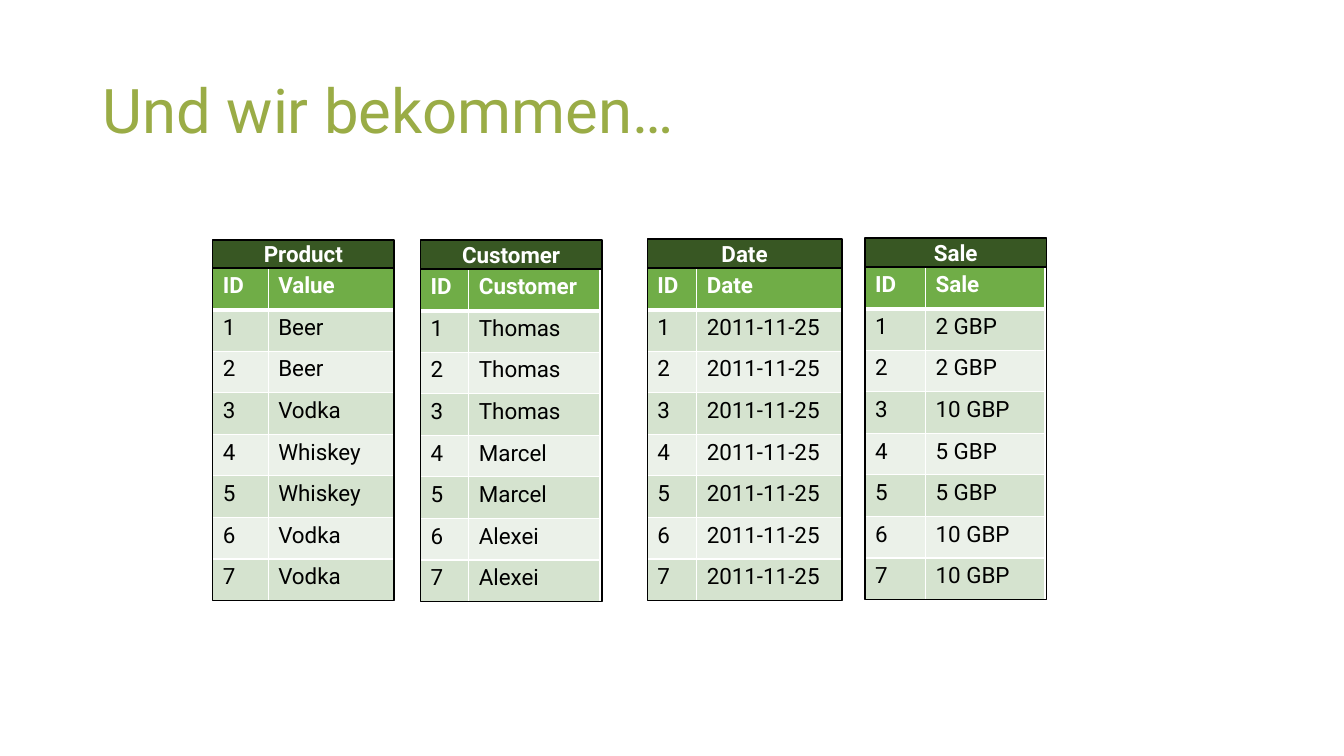
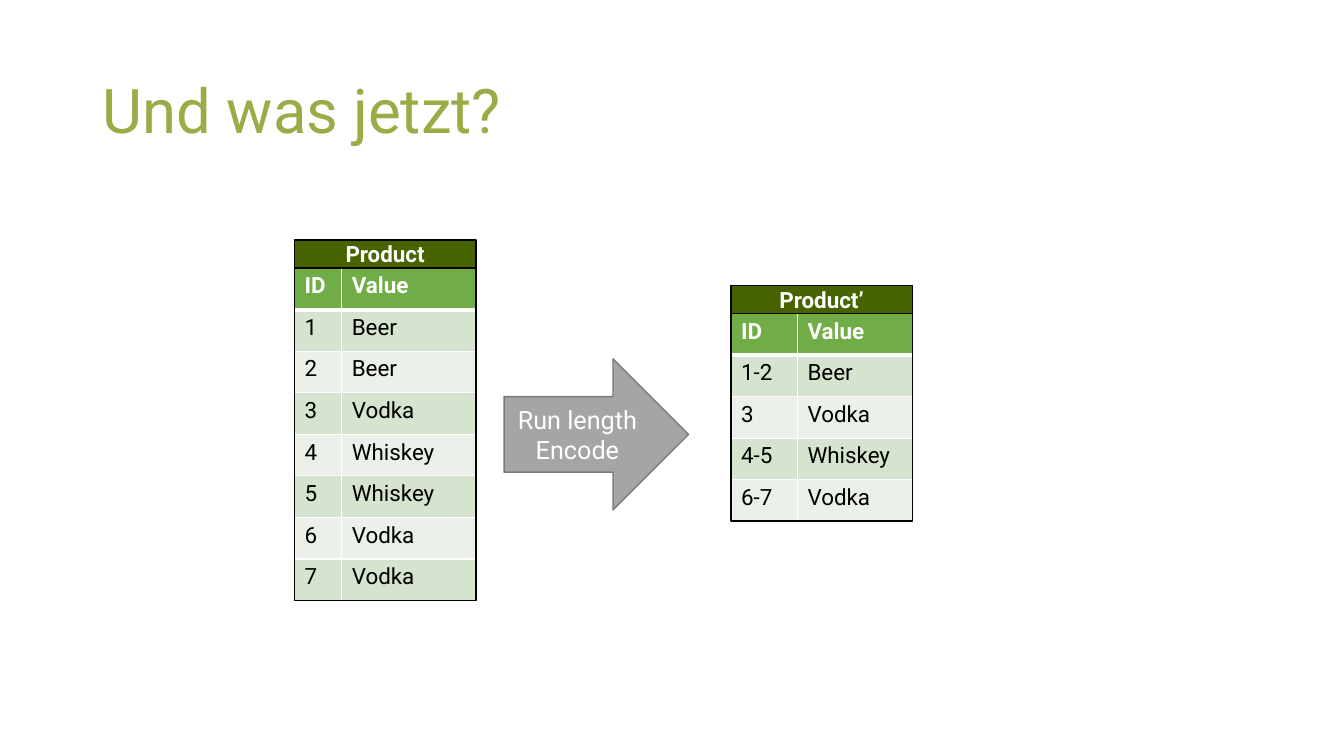
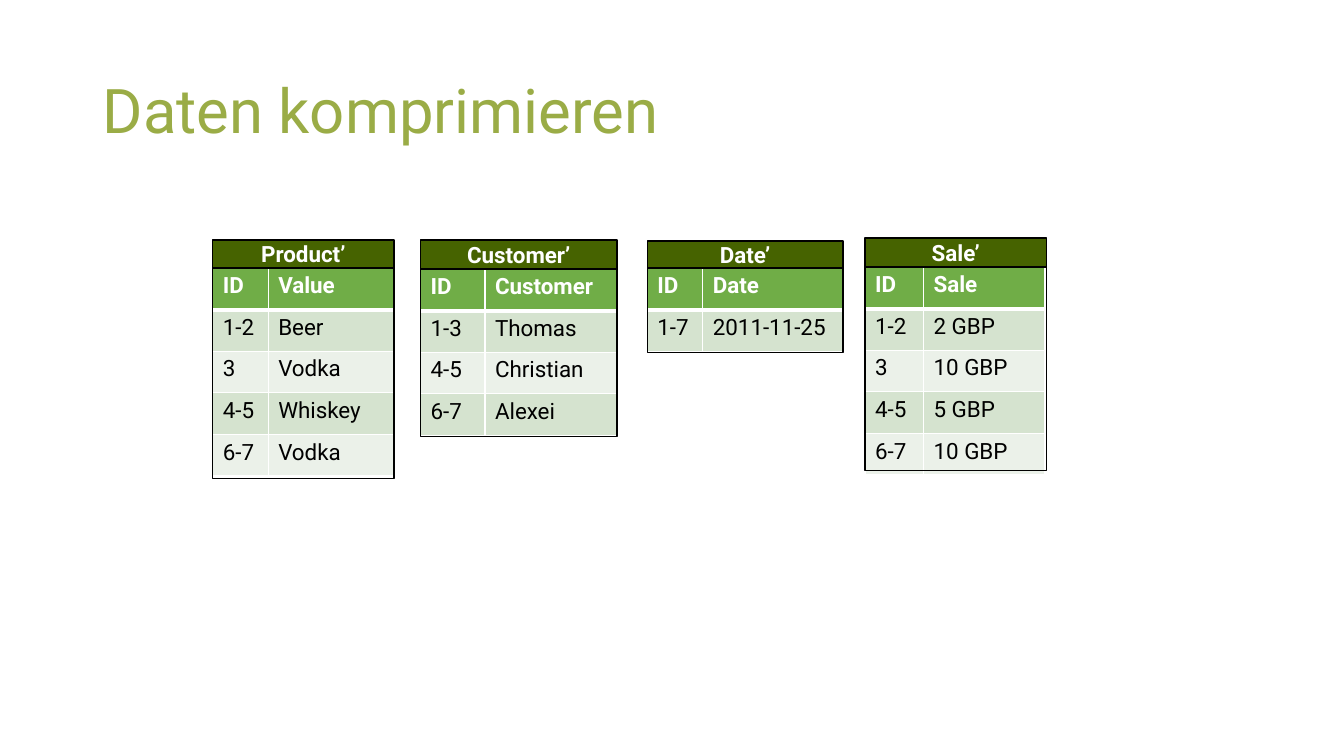
"""Build three slides on splitting a sales table into columns and run length encoding them."""
from lxml import etree
from pptx import Presentation, util as u
from pptx.dml.color import RGBColor
from pptx.enum import shapes, text
from pptx.oxml import ns

PX = 9144
SLIDE_SIZE = (1333, 750)
TITLE_BOX = (92, 40, 1150, 145)
EIGHT_ROWS = 330
FONT = "Roboto"
TITLE, WHITE, BLACK = "9AAC46", "FFFFFF", "000000"
HEADER, BANDS = "70AD47", ("D5E3CF", "EBF1E9")
FOREST, OLIVE = "385723", "466300"
ARROW, ARROW_EDGE = "A5A5A5", "7A7A7A"

IDS = ["1", "2", "3", "4", "5", "6", "7"]
RUNS = ["1-2", "3", "4-5", "6-7"]
PRODUCTS = ["Beer", "Beer", "Vodka", "Whiskey", "Whiskey", "Vodka", "Vodka"]
CUSTOMERS = ["Thomas", "Thomas", "Thomas", "Marcel", "Marcel", "Alexei", "Alexei"]
SALES = ["2 GBP", "2 GBP", "10 GBP", "5 GBP", "5 GBP", "10 GBP", "10 GBP"]
PRODUCT_RUNS = ["Beer", "Vodka", "Whiskey", "Vodka"]
SALE_RUNS = ["2 GBP", "10 GBP", "5 GBP", "10 GBP"]


def card(caption, heading, ids, values, caption_box, columns, frame_height):
    return dict(caption=caption, rows=[("ID", heading), *zip(ids, values)],
                caption_box=caption_box, columns=columns, frame_height=frame_height)


SLIDES = [
    dict(title="Und wir bekommen…", caption_fill=FOREST, cards=[
        card("Product", "Value", IDS, PRODUCTS, (211, 238, 180, 28), (55, 125), 330),
        card("Customer", "Customer", IDS, CUSTOMERS, (417, 238, 180, 29), (48, 130), 330),
        card("Date", "Date", IDS, ["2011-11-25"] * 7, (642, 237, 193, 29), (49, 146), 330),
        card("Sale", "Sale", IDS, SALES, (858, 236, 180, 29), (60, 118), 330),
    ]),
    dict(title="Und was jetzt?", caption_fill=OLIVE, cards=[
        card("Product", "Value", IDS, PRODUCTS, (292, 238, 180, 28), (47, 134), 330),
        card("Product’", "Value", RUNS, PRODUCT_RUNS, (725, 283, 180, 28), (66, 114), 206),
    ], arrow=("Run length\nEncode", (500, 356, 183, 150))),
    dict(title="Daten komprimieren", caption_fill=OLIVE, cards=[
        card("Product’", "Value", RUNS, PRODUCT_RUNS, (211, 238, 180, 28), (55, 125), 209),
        card("Customer’", "Customer", ["1-3", "4-5", "6-7"], ["Thomas", "Christian", "Alexei"],
             (417, 238, 195, 29), (64, 132), 166),
        card("Date’", "Date", ["1-7"], ["2011-11-25"], (642, 239, 194, 27), (55, 140), 84),
        card("Sale’", "Sale", RUNS, SALE_RUNS, (858, 236, 180, 29), (58, 120), 202),
    ]),
]


def color(value):
    return RGBColor.from_string(value)


def emu(box):
    return [length * PX for length in box]


def format_text(text_frame, size, font_color, bold=False, alignment=text.PP_ALIGN.LEFT):
    for paragraph in text_frame.paragraphs:
        paragraph.alignment = alignment
        for run in paragraph.runs:
            run.font.name = FONT
            run.font.size = u.Pt(size)
            run.font.bold = bold
            run.font.color.rgb = color(font_color)


def add_box(slide, kind, box, fill=None, line=BLACK):
    shape = slide.shapes.add_shape(kind, *emu(box))
    shape.shadow.inherit = False
    if fill:
        shape.fill.solid()
        shape.fill.fore_color.rgb = color(fill)
    else:
        shape.fill.background()
    shape.line.color.rgb = color(line)
    shape.line.width = u.Pt(1)
    shape.text_frame.vertical_anchor = text.MSO_ANCHOR.MIDDLE
    return shape


def set_borders(cell, top, bottom):
    properties = cell._tc.get_or_add_tcPr()
    widths = {"a:lnL": 1, "a:lnR": 1, "a:lnT": top, "a:lnB": bottom}
    for position, (tag, width) in enumerate(widths.items()):
        line = etree.Element(ns.qn(tag), w=str(u.Pt(width)))
        fill = etree.SubElement(line, ns.qn("a:solidFill"))
        etree.SubElement(fill, ns.qn("a:srgbClr"), val=WHITE)
        properties.insert(position, line)


def add_grid(slide, left, top, columns, rows):
    row_height = EIGHT_ROWS * PX // 8
    frame = slide.shapes.add_table(len(rows), len(columns), left * PX, top * PX,
                                   sum(columns) * PX, row_height * len(rows))
    table = frame.table
    for column, width in zip(table.columns, columns):
        column.width = width * PX
    for row_index, values in enumerate(rows):
        table.rows[row_index].height = row_height
        is_header = row_index == 0
        for column_index, value in enumerate(values):
            cell = table.cell(row_index, column_index)
            cell.text_frame.text = value
            format_text(cell.text_frame, 16, WHITE if is_header else BLACK, is_header)
            cell.fill.solid()
            cell.fill.fore_color.rgb = color(HEADER if is_header else BANDS[(row_index - 1) % 2])
            set_borders(cell, 3 if row_index == 1 else 1, 3 if is_header else 1)


def add_card(slide, caption_fill, caption, rows, caption_box, columns, frame_height):
    left, top, width, height = caption_box
    body_top = top + height
    add_grid(slide, left, body_top, columns, rows)
    shape = add_box(slide, shapes.MSO_SHAPE.RECTANGLE, caption_box, caption_fill)
    text_frame = shape.text_frame
    text_frame.margin_left = text_frame.margin_right = 0
    text_frame.margin_top = text_frame.margin_bottom = 0
    text_frame.word_wrap = False
    text_frame.text = caption
    format_text(text_frame, 16, WHITE, True, text.PP_ALIGN.CENTER)
    add_box(slide, shapes.MSO_SHAPE.RECTANGLE, (left, body_top, width, frame_height))


def add_arrow(slide, label, box):
    shape = add_box(slide, shapes.MSO_SHAPE.RIGHT_ARROW, box, ARROW, ARROW_EDGE)
    shape.text_frame.text = label
    format_text(shape.text_frame, 18, WHITE, alignment=text.PP_ALIGN.CENTER)


def add_titled_slide(presentation, title):
    slide = presentation.slides.add_slide(presentation.slide_layouts[5])
    shape = slide.shapes.title
    shape.left, shape.top, shape.width, shape.height = emu(TITLE_BOX)
    text_frame = shape.text_frame
    text_frame.text = title
    text_frame.auto_size = text.MSO_AUTO_SIZE.NONE
    text_frame.vertical_anchor = text.MSO_ANCHOR.MIDDLE
    text_frame.paragraphs[0].line_spacing = 0.9
    format_text(text_frame, 44, TITLE)
    return slide


def main():
    presentation = Presentation()
    presentation.slide_width, presentation.slide_height = emu(SLIDE_SIZE)
    for content in SLIDES:
        slide = add_titled_slide(presentation, content["title"])
        for item in content["cards"]:
            add_card(slide, content["caption_fill"], **item)
        if "arrow" in content:
            add_arrow(slide, *content["arrow"])
    presentation.save("out.pptx")


if __name__ == "__main__":
    main()
